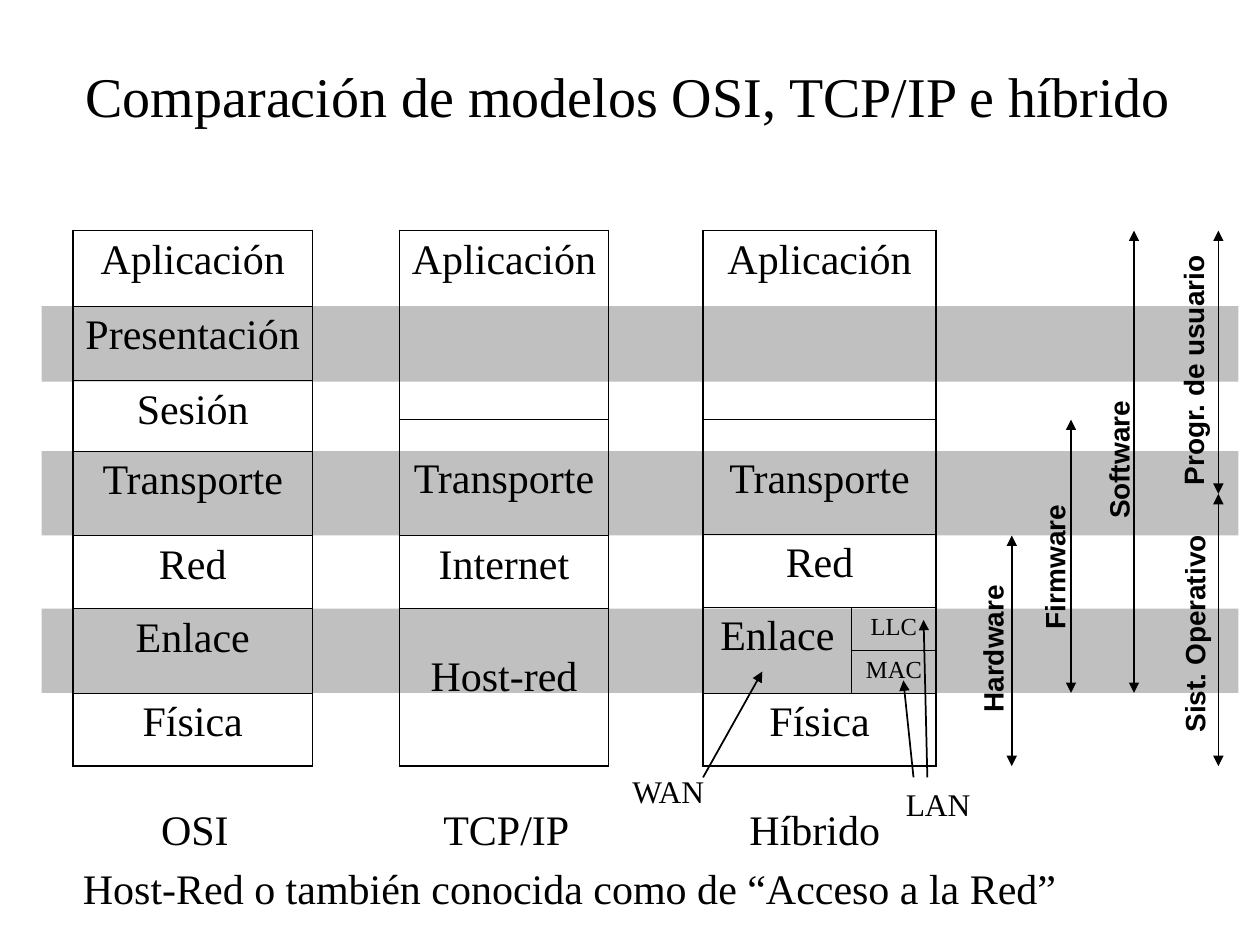
from pptx import Presentation
from pptx.dml.color import RGBColor
from pptx.enum.shapes import MSO_CONNECTOR, MSO_SHAPE
from pptx.enum.text import MSO_ANCHOR, MSO_AUTO_SIZE, PP_ALIGN
from pptx.oxml.ns import qn
from pptx.util import Inches, Pt
from lxml import etree

RECTANGLE = MSO_SHAPE.RECTANGLE
STRAIGHT = MSO_CONNECTOR.STRAIGHT
LEFT, CENTER = PP_ALIGN.LEFT, PP_ALIGN.CENTER
TOP = MSO_ANCHOR.TOP
NO_AUTOFIT = MSO_AUTO_SIZE.NONE

BLACK, GRAY = "000000", "C0C0C0"
SERIF, SANS = "Times New Roman", "Arial"
TABLE_TOP, TABLE_BOTTOM = 1.83, 6.08


def color(value):
    return RGBColor.from_string(value)


class LayerSlide:
    """Holds the style and the slide that the elements are added to."""

    outer_border, inner_border = 1.08, 0.45
    cell_side_margin = 0.05

    def __init__(self, slide):
        self.slide = slide
        self.shapes = slide.shapes

    def format_text(self, frame, size, font=SERIF, bold=False, align=LEFT):
        for paragraph in frame.paragraphs:
            paragraph.alignment = align
            for run in paragraph.runs:
                run.font.size = Pt(size)
                run.font.name = font
                run.font.bold = bold
                run.font.color.rgb = color(BLACK)

    def fill_box(self, shape, text, size, **style):
        frame = shape.text_frame
        frame.text = text
        frame.word_wrap = False
        frame.auto_size = NO_AUTOFIT
        frame.vertical_anchor = TOP
        self.format_text(frame, size, **style)

    def title(self, text, left, top, width, height):
        shape = self.shapes.title
        shape.left, shape.top = Inches(left), Inches(top)
        shape.width, shape.height = Inches(width), Inches(height)
        self.fill_box(shape, text, 32)

    def label(self, text, left, top, width, height, size=24):
        shape = self.shapes.add_textbox(
            Inches(left), Inches(top), Inches(width), Inches(height))
        self.fill_box(shape, text, size)

    def vertical_label(self, text, center_x, center_y, length):
        height = 0.37
        shape = self.shapes.add_textbox(
            Inches(center_x - length / 2), Inches(center_y - height / 2),
            Inches(length), Inches(height))
        shape.rotation = 270
        self.fill_box(shape, text, 16, font=SANS, bold=True, align=CENTER)

    def band(self, top, height):
        shape = self.shapes.add_shape(
            RECTANGLE, Inches(0.33), Inches(top), Inches(9.5), Inches(height))
        shape.shadow.inherit = False
        shape.fill.solid()
        shape.fill.fore_color.rgb = color(GRAY)
        shape.line.fill.background()

    def arrow(self, start, end, double=False):
        connector = self.shapes.add_connector(
            STRAIGHT, *[Inches(value) for value in (*start, *end)])
        connector.line.color.rgb = color(BLACK)
        connector.line.width = Pt(1)
        line = connector.line._get_or_add_ln()
        for end_name in ("a:headEnd", "a:tailEnd") if double else ("a:tailEnd",):
            etree.SubElement(line, qn(end_name), type="triangle")
        etree.SubElement(connector._element.spPr, qn("a:effectLst"))

    def cell_border(self, cell, side, width):
        properties = cell._tc.get_or_add_tcPr()
        line = etree.SubElement(properties, qn(f"a:ln{side}"), w=str(Pt(width)))
        fill = etree.SubElement(line, qn("a:solidFill"))
        etree.SubElement(fill, qn("a:srgbClr"), val=BLACK)

    def table(self, left, column_widths, row_heights, merges=()):
        """Add an empty table; each merge is a pair of (row, column) corners."""
        rows, columns = len(row_heights), len(column_widths)
        table = self.shapes.add_table(
            rows, columns, Inches(left), Inches(TABLE_TOP),
            Inches(sum(column_widths)), Inches(sum(row_heights))).table
        table.first_row = table.horz_banding = False
        for column, width in zip(table.columns, column_widths):
            column.width = Inches(width)
        for row, height in zip(table.rows, row_heights):
            row.height = Inches(height)
        for first, last in merges:
            table.cell(*first).merge(table.cell(*last))
        for row in range(rows):
            for column in range(columns):
                cell = table.cell(row, column)
                on_edge = {
                    "L": column == 0,
                    "R": column + cell.span_width == columns,
                    "T": row == 0,
                    "B": row + cell.span_height == rows,
                }
                for side, outer in on_edge.items():
                    width = self.outer_border if outer else self.inner_border
                    self.cell_border(cell, side, width)
                cell.fill.background()
        return table

    def cell_text(self, cell, text, size=24, margin_top=0.05):
        cell.text_frame.text = text
        cell.margin_top = Inches(margin_top)
        cell.margin_left = cell.margin_right = Inches(self.cell_side_margin)
        self.format_text(cell.text_frame, size, align=CENTER)


def build():
    presentation = Presentation()
    presentation.slide_width, presentation.slide_height = Inches(10), Inches(7.5)
    page = LayerSlide(presentation.slides.add_slide(presentation.slide_layouts[5]))

    for top, height in ((2.43, 0.6), (3.58, 0.67), (4.83, 0.67)):
        page.band(top, height)
    page.title("Comparación de modelos OSI, TCP/IP e híbrido", 0.58, 0.44, 8.84, 0.64)

    osi_layers = ("Aplicación", "Presentación", "Sesión", "Transporte",
                  "Red", "Enlace", "Física")
    osi = page.table(0.58, [1.9], [0.6, 0.59, 0.56, 0.67, 0.58, 0.67, 0.58])
    for row, name in enumerate(osi_layers):
        page.cell_text(osi.cell(row, 0), name)

    # Layers that span several OSI levels have their names set lower
    tcp_ip_layers = (("Aplicación", 0.05), ("Transporte", 0.29),
                     ("Internet", 0.05), ("Host-red", 0.36))
    tcp_ip = page.table(3.17, [1.66], [1.5, 0.92, 0.58, 1.25])
    for row, (name, margin_top) in enumerate(tcp_ip_layers):
        page.cell_text(tcp_ip.cell(row, 0), name, margin_top=margin_top)

    full_rows = [((row, 0), (row, 1)) for row in (0, 1, 2, 5)]
    hybrid = page.table(5.58, [1.18, 0.67], [1.5, 0.91, 0.58, 0.34, 0.34, 0.58],
                        merges=[*full_rows, ((3, 0), (4, 0))])
    for row, name, margin_top in ((0, "Aplicación", 0.05), (1, "Transporte", 0.29),
                                  (2, "Red", 0.05), (3, "Enlace", 0.05),
                                  (5, "Física", 0.05)):
        page.cell_text(hybrid.cell(row, 0), name, margin_top=margin_top)
    for row, name in ((3, "LLC"), (4, "MAC")):
        page.cell_text(hybrid.cell(row, 1), name, size=14)

    for name, left, width in (("OSI", 1.18, 0.73), ("TCP/IP", 3.42, 1.2),
                              ("Híbrido", 5.85, 1.23)):
        page.label(name, left, 6.33, width, 0.5)
    page.label("WAN", 4.92, 6.08, 0.79, 0.4, size=18)
    page.label("LAN", 7.09, 6.18, 0.71, 0.4, size=18)
    page.label("Host-Red o también conocida como de “Acceso a la Red”",
               0.56, 6.8, 7.93, 0.5)

    for start, end in (((5.58, 6.17), (6.05, 5.33)),
                       ((7.36, 6.17), (7.33, 4.92)),
                       ((7.25, 6.17), (7.17, 5.4))):
        page.arrow(start, end)

    # Name, arrow x, arrow top and bottom, label center and length
    ranges = (
        ("Hardware", 8.03, 4.25, TABLE_BOTTOM, 7.88, 5.15, 1.21),
        ("Firmware", 8.5, 3.33, 5.5, 8.37, 4.5, 1.18),
        ("Software", 9, TABLE_TOP, 5.5, 8.88, 3.65, 1.13),
        ("Sist. Operativo", 9.67, 3.92, TABLE_BOTTOM, 9.48, 5.03, 1.76),
        ("Progr. de usuario", 9.67, TABLE_TOP, 3.92, 9.47, 2.94, 2.03),
    )
    for name, x, top, bottom, center_x, center_y, length in ranges:
        page.arrow((x, top), (x, bottom), double=True)
        page.vertical_label(name, center_x, center_y, length)

    presentation.save("out.pptx")


if __name__ == "__main__":
    build()
